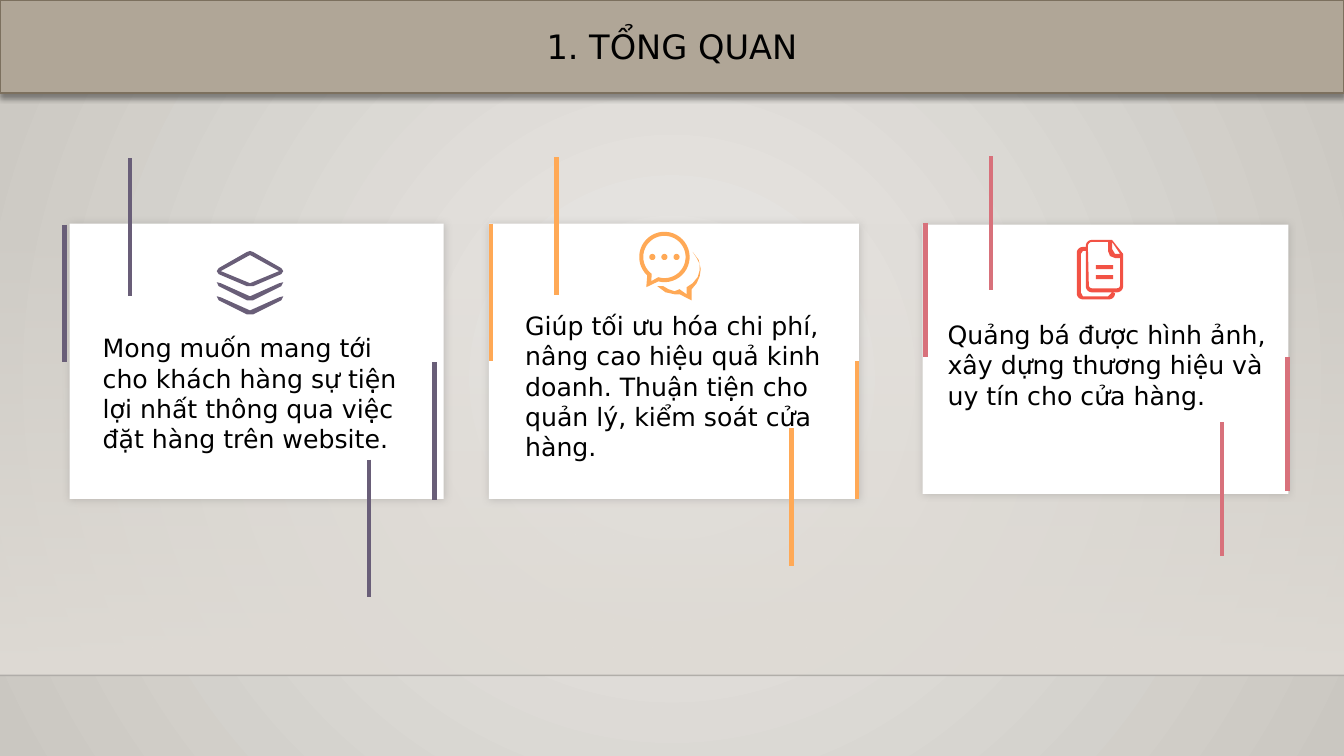
import math
from dataclasses import dataclass

import pptx
import pptx.dml.color
import pptx.enum.shapes
import pptx.enum.text
import pptx.oxml.ns
import pptx.util
from lxml import etree

Inches = pptx.util.Inches
Pt = pptx.util.Pt
qn = pptx.oxml.ns.qn
RECT = pptx.enum.shapes.MSO_SHAPE.RECTANGLE


@dataclass(frozen=True)
class Theme:
    font: str = "DejaVu Sans"
    title_size: int = 24
    body_size: int = 18
    text: str = "000000"
    center: str = "ECEAE7"
    edge: str = "CAC7C1"
    wall: str = "DFDBD5"
    floor_line: str = "000001"
    header: str = "B0A697"
    header_line: str = "7C705E"
    card: str = "FFFFFF"
    card_shadow: str = "3F3F3F"
    purple: str = "695E78"
    orange: str = "FFA956"
    rose: str = "D8717B"
    red: str = "F25245"


THEME = Theme()


def rgb(value):
    return pptx.dml.color.RGBColor.from_string(value)


def add_child(parent, tag, **attributes):
    values = {key: str(value) for key, value in attributes.items()}
    return etree.SubElement(parent, qn(tag), values)


def set_alpha(element, percent):
    add_child(next(element.iter(qn("a:srgbClr"))), "a:alpha", val=percent * 1000)


def set_gradient(fill, colors):
    fill.gradient()
    for stop, color in zip(fill.gradient_stops, colors):
        stop.color.rgb = rgb(color)


def add_shadow(shape, color, percent, blur, distance, degrees):
    effects = shape.element.spPr.find(qn("a:effectLst"))
    shadow = add_child(effects, "a:outerShdw", blurRad=Pt(blur), dist=Pt(distance),
                       dir=degrees * 60000, algn="ctr", rotWithShape=0)
    add_child(shadow, "a:srgbClr", val=color)
    set_alpha(shadow, percent)


def add_panel(slide, box, color=None):
    panel = slide.shapes.add_shape(RECT, *map(Inches, box))
    panel.shadow.inherit = False
    panel.line.fill.background()
    if color:
        panel.fill.solid()
        panel.fill.fore_color.rgb = rgb(color)
    return panel


def add_rule(slide, start, end, color, width):
    rule = slide.shapes.add_connector(pptx.enum.shapes.MSO_CONNECTOR.STRAIGHT,
                                      *map(Inches, (*start, *end)))
    rule.line.color.rgb = rgb(color)
    rule.line.width = Pt(width)
    add_child(rule.element.spPr, "a:effectLst")
    return rule


def write(shape, text, size):
    paragraph = shape.text_frame.paragraphs[0]
    paragraph.text = text
    paragraph.font.name = THEME.font
    paragraph.font.size = Pt(size)
    paragraph.font.color.rgb = rgb(THEME.text)
    return paragraph


# Icon outlines, in inches from the icon's top left corner
def arc(x, y, radius, start=0, end=360, steps=40):
    angles = [math.radians(start + (end - start) * i / steps) for i in range(steps + 1)]
    return [(x + radius * math.cos(a), y + radius * math.sin(a)) for a in angles]


def bar(x, y, width, height):
    return [(x, y), (x + width, y), (x + width, y + height), (x, y + height)]


def layers_outline():
    sheet = [(0, 0.2), (0.02, 0.17), (0.3, 0.01), (0.33, 0), (0.36, 0.01),
             (0.64, 0.17), (0.66, 0.2), (0.64, 0.23), (0.36, 0.35), (0.3, 0.35), (0.02, 0.23)]
    opening = [(0.04, 0.2), (0.33, 0.04), (0.62, 0.2), (0.33, 0.32)]
    chevrons = [[(0, y), (0.04, y + 0.01), (0.33, y + 0.14), (0.62, y + 0.01), (0.66, y),
                 (0.64, y + 0.04), (0.36, y + 0.18), (0.3, y + 0.18), (0.02, y + 0.04)]
                for y in (0.31, 0.45)]
    return [sheet, opening, *chevrons]


def chat_outline():
    bubble = arc(0.25, 0.25, 0.25, 133, 464) + [(0.07, 0.55)]
    opening = arc(0.25, 0.25, 0.21, 127, 467) + [(0.12, 0.49)]
    dots = [arc(x, 0.25, 0.03) for x in (0.13, 0.25, 0.37)]
    reply = [(0.53, 0.2), (0.57, 0.26), (0.6, 0.32), (0.6, 0.38), (0.58, 0.45),
             (0.53, 0.51), (0.47, 0.55), (0.47, 0.62), (0.4, 0.57), (0.35, 0.59),
             (0.29, 0.57), (0.24, 0.54), (0.18, 0.54), (0.26, 0.6), (0.35, 0.62),
             (0.4, 0.62), (0.52, 0.68), (0.52, 0.57), (0.57, 0.51), (0.6, 0.44),
             (0.61, 0.37), (0.59, 0.28)]
    return [bubble, opening, *dots, reply]


def pages_outline():
    front = [(0.15, 0), (0.35, 0), (0.46, 0.14), *arc(0.4, 0.46, 0.06, 0, 90, 6),
             *arc(0.15, 0.46, 0.06, 90, 180, 6), *arc(0.15, 0.06, 0.06, 180, 270, 6)]
    opening = [(0.31, 0.02), (0.31, 0.11), (0.33, 0.16), (0.38, 0.18), (0.43, 0.18),
               *arc(0.4, 0.45, 0.03, 0, 90, 4), *arc(0.15, 0.45, 0.03, 90, 180, 4),
               *arc(0.15, 0.06, 0.04, 180, 270, 4)]
    fold = [(0.35, 0.02), (0.43, 0.14), (0.38, 0.14), (0.35, 0.09)]
    back = [(0.09, 0.07), *arc(0.06, 0.13, 0.06, 270, 180, 6),
            *arc(0.06, 0.53, 0.06, 180, 90, 6), *arc(0.32, 0.53, 0.06, 90, 0, 6),
            (0.35, 0.52), (0.31, 0.56), (0.06, 0.56), (0.04, 0.52),
            (0.04, 0.14), (0.06, 0.11), (0.09, 0.11)]
    return [front, opening, fold, back, *(bar(0.19, y, 0.17, 0.04) for y in (0.25, 0.35))]


def add_icon(slide, left, top, outline, color):
    contours = [[(Inches(left + x), Inches(top + y)) for x, y in contour]
                for contour in outline]
    builder = slide.shapes.build_freeform(*contours[0][0])
    for contour in contours:
        builder.move_to(*contour[0])
        builder.add_line_segments(contour[1:], close=True)
    icon = builder.convert_to_shape()
    icon.shadow.inherit = False
    icon.fill.solid()
    icon.fill.fore_color.rgb = rgb(color)
    icon.line.fill.background()


# Regions of the slide
def add_backdrop(slide, box):
    left, top, width, height = box
    set_gradient(slide.background.fill, (THEME.center, THEME.edge))
    gradient = next(slide.element.iter(qn("a:gradFill")))
    gradient.remove(gradient.find(qn("a:lin")))
    glow = add_child(gradient, "a:path", path="circle")
    add_child(glow, "a:fillToRect", l=50000, t=50000, r=50000, b=50000)

    wall = add_panel(slide, box)
    set_gradient(wall.fill, (THEME.wall, THEME.wall))
    wall.fill.gradient_angle = 270
    set_alpha(wall.element.spPr, 0)
    floor = add_rule(slide, (left, top + height), (left + width, top + height),
                     THEME.floor_line, 1)
    set_alpha(floor.element.spPr, 20)


def add_header(slide, box, title):
    header = add_panel(slide, box, THEME.header)
    header.line.color.rgb = rgb(THEME.header_line)
    header.line.width = Pt(1.25)
    add_shadow(header, "000000", 40, 4, 3, 90)
    header.text_frame.vertical_anchor = pptx.enum.text.MSO_ANCHOR.MIDDLE
    write(header, title, THEME.title_size).alignment = pptx.enum.text.PP_ALIGN.CENTER


def add_card(slide, box, frame, low_start, message, message_box, color, icon):
    left, top, width, height = box
    panel = add_panel(slide, box, THEME.card)
    add_shadow(panel, THEME.card_shadow, 20, 6, 0, 0)

    x, y, w, h = message_box
    note = slide.shapes.add_textbox(*map(Inches, (left + x, top + y, w, h)))
    note.text_frame.word_wrap = True
    write(note, message, THEME.body_size)

    # Four accent bars, each half as long as the frame is high
    start, upper, end, lower = frame
    length, inset = (lower - upper) / 2, 0.65
    for bar_x, bar_y in ((start, upper), (start + inset, upper - 0.66),
                         (end, upper + length), (end - inset, low_start)):
        add_rule(slide, (bar_x, bar_y), (bar_x, bar_y + length), color, 3)

    icon_x, icon_y, outline, icon_color = icon
    add_icon(slide, left + icon_x, top + icon_y, outline, icon_color)


def main():
    deck = pptx.Presentation()
    deck.slide_width, deck.slide_height = Inches(13.33), Inches(7.5)
    slide = deck.slides.add_slide(deck.slide_layouts[6])
    add_backdrop(slide, (0, 2.21, 13.33, 4.49))
    add_header(slide, (0, 0, 13.33, 0.92), "1. TỔNG QUAN")
    add_card(slide, (4.85, 2.22, 3.67, 2.73), (4.87, 2.22, 8.5, 4.95), 4.25,
             "Giúp tối ưu hóa chi phí, nâng cao hiệu quả kinh doanh. "
             "Thuận tiện cho quản lý, kiểm soát cửa hàng.",
             (0.26, 0.81, 3.18, 1.62), THEME.orange,
             (1.49, 0.08, chat_outline(), THEME.orange))
    add_card(slide, (0.69, 2.22, 3.71, 2.73), (0.64, 2.23, 4.31, 4.96), 4.56,
             "Mong muốn mang tới cho khách hàng sự tiện lợi nhất "
             "thông qua việc đặt hàng trên website.",
             (0.23, 1.03, 3.21, 1.31), THEME.purple,
             (1.46, 0.27, layers_outline(), THEME.purple))
    add_card(slide, (9.15, 2.23, 3.63, 2.67), (9.18, 2.21, 12.77, 4.87), 4.19,
             "Quảng bá được hình ảnh, xây dựng thương hiệu và uy tín cho cửa hàng.",
             (0.15, 0.89, 3.5, 1.01), THEME.rose,
             (1.53, 0.15, pages_outline(), THEME.red))
    deck.save("out.pptx")


if __name__ == "__main__":
    main()
